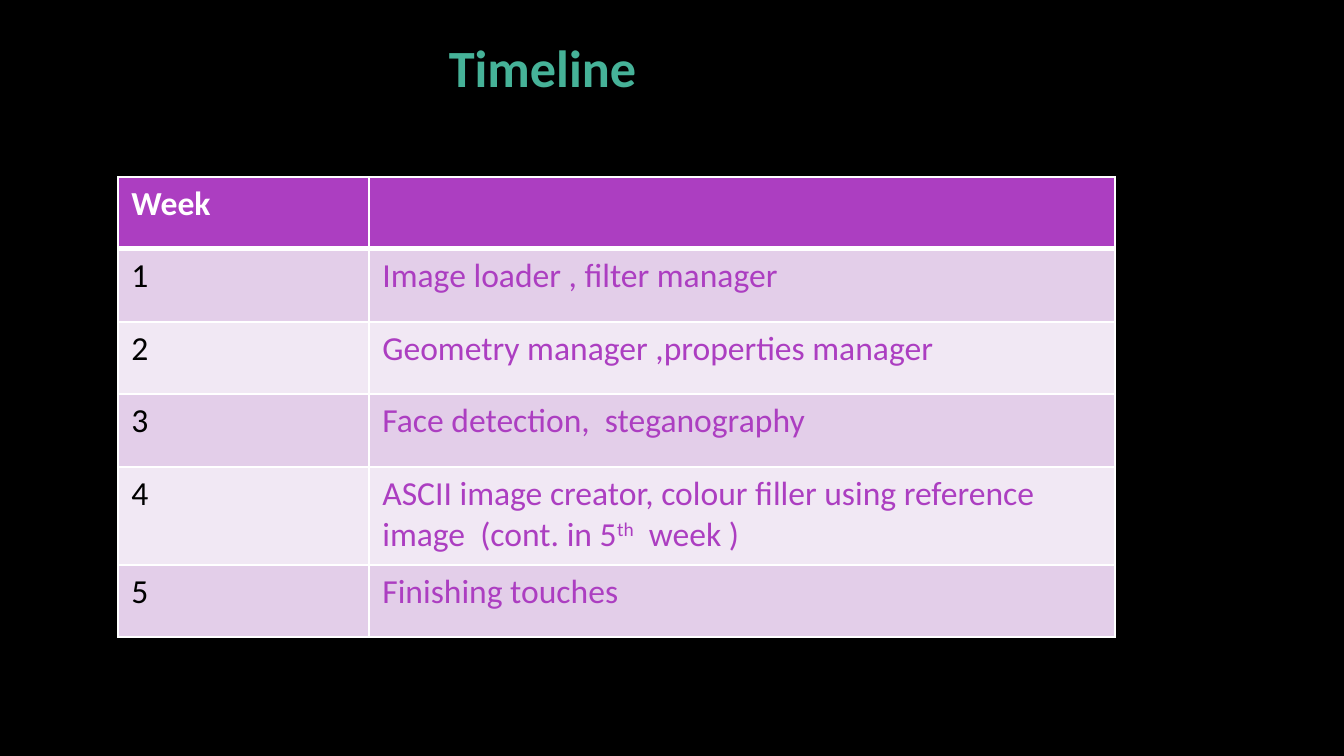
from itertools import pairwise

from lxml import etree
from pptx import Presentation
from pptx import util as u
from pptx.dml.color import RGBColor
from pptx.enum import text
from pptx.oxml.ns import qn

EMU_PER_PX = 914400 / 134.4
FONT = "Calibri"
COLORS = {
    "background": "000000",
    "title": "46B298",
    "header": "AC3EC1",
    "header_text": "FFFFFF",
    "odd_week": "E3CEE9",
    "even_week": "F1E8F4",
    "week": "000000",
    "task": "AC3EC1",
    "grid": "FFFFFF",
}
ROW_EDGES = [177, 249, 322, 394, 467, 565, 637]
COLUMN_WIDTHS = [251, 746]
TABLE_LEFT = 118
# One entry per week; every second run of an entry is superscript.
TASKS = [
    ["Image loader , filter manager"],
    ["Geometry manager ,properties manager"],
    ["Face detection,  steganography"],
    ["ASCII image creator, colour filler using reference image  (cont. in 5",
     "th", "  week )"],
    ["Finishing touches"],
]


def px(length):
    return u.Emu(round(length * EMU_PER_PX))


def rgb(name):
    return RGBColor.from_string(COLORS[name])


def add_run(paragraph, words, size, color, bold=False, superscript=False):
    run = paragraph.add_run()
    run.text = words
    run.font.name = FONT
    run.font.size = u.Pt(size)
    run.font.bold = bold
    run.font.color.rgb = rgb(color)
    if superscript:
        run.font._element.set("baseline", "30000")


def add_title(slide, words):
    title = slide.shapes.title
    title.left, title.top, title.width, title.height = map(px, (82, 22, 921, 62))
    frame = title.text_frame
    frame.auto_size = text.MSO_AUTO_SIZE.NONE
    frame.vertical_anchor = text.MSO_ANCHOR.TOP
    frame.margin_left = frame.margin_right = u.Inches(0.1)
    frame.margin_top = frame.margin_bottom = u.Inches(0.1)
    heading = frame.paragraphs[0]
    heading.alignment = text.PP_ALIGN.CENTER
    heading.space_after = u.Pt(12)
    add_run(heading, words, 28, "title", bold=True)


def set_borders(cell, **widths):
    """Draw the cell's edges, 1 pt wide unless widths names another."""
    properties = cell._tc.get_or_add_tcPr()
    for edge in ("lnL", "lnR", "lnT", "lnB"):
        line = etree.SubElement(properties, qn(f"a:{edge}"),
                                w=str(u.Pt(widths.get(edge, 1))))
        fill = etree.SubElement(line, qn("a:solidFill"))
        etree.SubElement(fill, qn("a:srgbClr"), val=COLORS["grid"])


def fill_cell(cell, runs, fill, color, bold=False, **border_widths):
    set_borders(cell, **border_widths)
    cell.fill.solid()
    cell.fill.fore_color.rgb = rgb(fill)
    for index, words in enumerate(runs):
        add_run(cell.text_frame.paragraphs[0], words, 18, color, bold,
                superscript=index % 2 == 1)


def add_timeline(slide):
    frame = slide.shapes.add_table(
        len(TASKS) + 1, len(COLUMN_WIDTHS), px(TABLE_LEFT), px(ROW_EDGES[0]),
        px(sum(COLUMN_WIDTHS)), px(ROW_EDGES[-1] - ROW_EDGES[0]))
    table = frame.table
    for column, width in zip(table.columns, COLUMN_WIDTHS):
        column.width = px(width)
    for row, (top, bottom) in zip(table.rows, pairwise(ROW_EDGES)):
        row.height = px(bottom - top)

    for column, heading in enumerate((["Week"], [])):
        fill_cell(table.cell(0, column), heading, "header", "header_text",
                  bold=True, lnB=3)
    for week, task in enumerate(TASKS, start=1):
        band = "odd_week" if week % 2 else "even_week"
        top_width = 3 if week == 1 else 1
        fill_cell(table.cell(week, 0), [str(week)], band, "week", lnT=top_width)
        fill_cell(table.cell(week, 1), task, band, "task", lnT=top_width)


def main():
    deck = Presentation()
    deck.slide_width, deck.slide_height = px(1344), px(756)
    slide = deck.slides.add_slide(deck.slide_layouts.get_by_name("Title Only"))
    slide.background.fill.solid()
    slide.background.fill.fore_color.rgb = rgb("background")
    add_title(slide, "Timeline")
    add_timeline(slide)
    deck.save("out.pptx")


if __name__ == "__main__":
    main()
